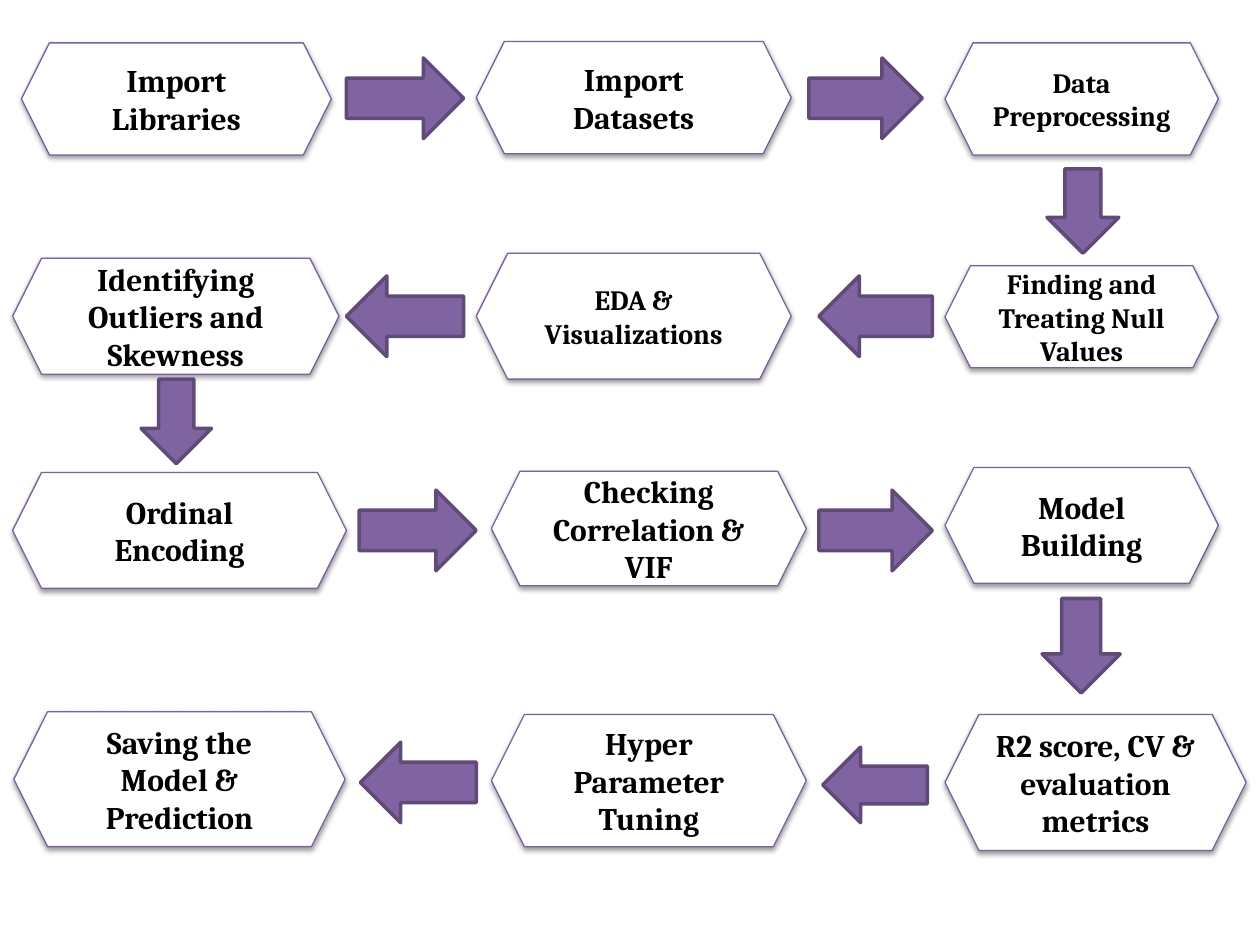
from lxml import etree
from pptx import Presentation
from pptx.dml.color import RGBColor
from pptx.enum.shapes import MSO_SHAPE as SHAPE
from pptx.enum.text import MSO_ANCHOR, PP_ALIGN
from pptx.oxml import parse_xml
from pptx.oxml.ns import nsdecls, qn
from pptx.util import Inches, Pt

SHADOW = f"""<a:effectLst {nsdecls('a')}>
  <a:outerShdw blurRad="39370" dist="20320" dir="5400000" rotWithShape="0">
    <a:srgbClr val="000000"><a:alpha val="38000"/></a:srgbClr>
  </a:outerShdw>
</a:effectLst>"""


def add_block(kind, box, fill, line, weight):
    block = slide.shapes.add_shape(kind, *[Inches(length) for length in box])
    block.shadow.inherit = False
    block.fill.solid()
    block.fill.fore_color.rgb = RGBColor.from_string(fill)
    block.line.color.rgb = RGBColor.from_string(line)
    block.line.width = Pt(weight)
    return block


def write(block, text, size=18, font="Cambria", color="000000", bold=True):
    frame = block.text_frame
    frame.word_wrap = True
    frame.vertical_anchor = MSO_ANCHOR.MIDDLE
    paragraph = frame.paragraphs[0]
    paragraph.alignment = PP_ALIGN.CENTER
    run = paragraph.add_run()
    run.text = text
    run.font.size = Pt(size)
    run.font.name = font
    run.font.bold = bold
    run.font.color.rgb = RGBColor.from_string(color)


prs = Presentation()
prs.slide_width = Inches(10)
prs.slide_height = Inches(7.5)
slide = prs.slides.add_slide(prs.slide_layouts[6])

steps = [
    ("Import Libraries", 18, (0.17, 0.34, 2.46, 0.89)),
    ("Import Datasets", 18, (3.78, 0.33, 2.5, 0.89)),
    ("Data Preprocessing", 16, (7.5, 0.34, 2.17, 0.89)),
    ("Finding and Treating Null Values", 16, (7.5, 2.11, 2.17, 0.81)),
    ("EDA & Visualizations", 16, (3.78, 2.01, 2.5, 1)),
    ("Identifying Outliers and Skewness", 18, (0.1, 2.05, 2.59, 0.92)),
    ("Ordinal Encoding", 18, (0.1, 3.75, 2.65, 0.92)),
    ("Checking Correlation & VIF", 18, (3.9, 3.74, 2.5, 0.91)),
    ("Model Building", 18, (7.5, 3.71, 2.17, 0.92)),
    ("R2 score, CV & evaluation metrics", 18, (7.5, 5.67, 2.39, 1.08)),
    ("Hyper Parameter Tuning", 18, (3.9, 5.67, 2.5, 1.05)),
    ("Saving the Model & Prediction", 18, (0.11, 5.65, 2.63, 1.07)),
]
for text, size, box in steps:
    step = add_block(SHAPE.HEXAGON, box, "FFFFFF", "7D60A0", 0.75)
    properties = step.fill._xPr
    properties.replace(properties.find(qn("a:effectLst")), parse_xml(SHADOW))
    write(step, text, size=size)

arrows = [
    (SHAPE.RIGHT_ARROW, (2.75, 0.46, 0.93, 0.64)),
    (SHAPE.RIGHT_ARROW, (6.42, 0.46, 0.9, 0.64)),
    (SHAPE.DOWN_ARROW, (8.31, 1.34, 0.57, 0.67)),
    (SHAPE.LEFT_ARROW, (6.5, 2.19, 0.9, 0.64)),
    (SHAPE.LEFT_ARROW, (2.75, 2.19, 0.93, 0.64)),
    (SHAPE.DOWN_ARROW, (1.12, 3.01, 0.56, 0.67)),
    (SHAPE.RIGHT_ARROW, (2.85, 3.89, 0.93, 0.64)),
    (SHAPE.RIGHT_ARROW, (6.5, 3.89, 0.9, 0.64)),
    (SHAPE.DOWN_ARROW, (8.27, 4.75, 0.62, 0.75)),
    (SHAPE.LEFT_ARROW, (6.53, 5.93, 0.83, 0.6)),
    (SHAPE.LEFT_ARROW, (2.86, 5.89, 0.92, 0.64)),
]
for direction, box in arrows:
    add_block(direction, box, "8064A2", "5F4A78", 2)

prs.save("out.pptx")
